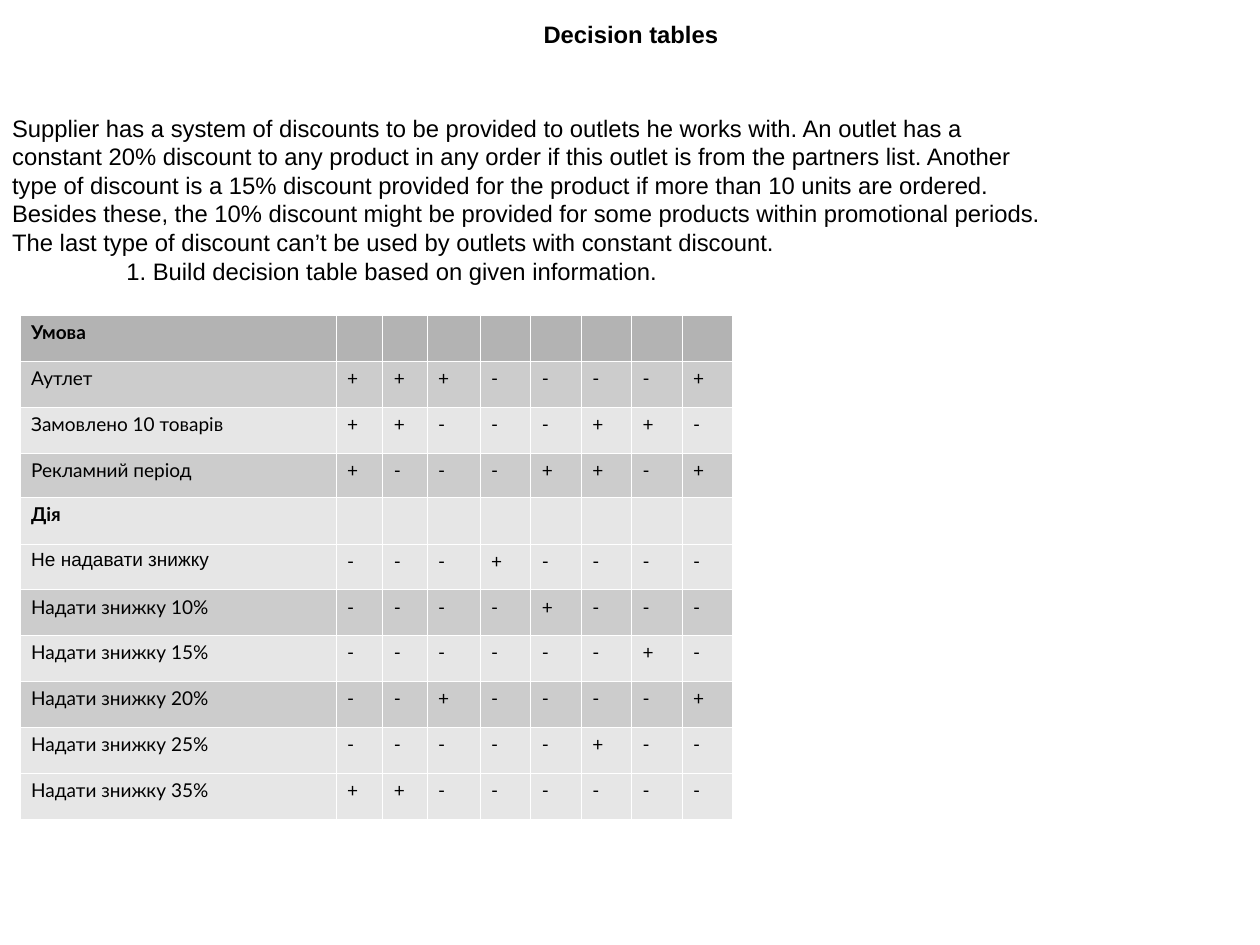
from lxml import etree
from pptx import Presentation
from pptx.dml.color import RGBColor
from pptx.enum.text import MSO_ANCHOR, MSO_AUTO_SIZE, PP_ALIGN
from pptx.oxml.ns import qn
from pptx.util import Cm, Pt

CENTER, LEFT = PP_ALIGN.CENTER, PP_ALIGN.LEFT
TOP, MIDDLE = MSO_ANCHOR.TOP, MSO_ANCHOR.MIDDLE
NO_FIT = MSO_AUTO_SIZE.NONE

COLORS = {"text": "000000", "border": "FFFFFF",
          "header": "B3B3B3", "dark": "CCCCCC", "light": "E6E6E6"}

TASK_LINES = [
    "Supplier has a system of discounts to be provided to outlets he works with. An outlet has a",
    "constant 20% discount to any product in any order if this outlet is from the partners list. Another",
    "type of discount is a 15% discount provided for the product if more than 10 units are ordered.",
    "Besides these, the 10% discount might be provided for some products within promotional periods.",
    "The last type of discount can’t be used by outlets with constant discount.",
]
QUESTION = "1. Build decision table based on given information."

# Row label, one mark per rule, shade; rows without marks are section headings
DECISIONS = [
    ("Умова", "", "header"),
    ("Аутлет", "+++----+", "dark"),
    ("Замовлено 10 товарів", "++---++-", "light"),
    ("Рекламний період", "+---++-+", "dark"),
    ("Дія", "", "light"),
    ("Не надавати знижку", "---+----", "light"),
    ("Надати знижку 10%", "----+---", "dark"),
    ("Надати знижку 15%", "------+-", "light"),
    ("Надати знижку 20%", "--+----+", "dark"),
    ("Надати знижку 25%", "-----+--", "light"),
    ("Надати знижку 35%", "++------", "light"),
]
ARIAL_LABEL = "Не надавати знижку"
COLUMN_WIDTHS = [7.02, 1.04, 0.98, 1.18, 1.13] + [1.12] * 4
ROW_HEIGHT, PERIOD_ROW, PERIOD_ROW_HEIGHT = 1.02, 3, 0.98


class SlideBuilder:
    """Holds the style and the current slide."""

    text_font, table_font = "Arial", "Lato"
    text_size, table_size, line_pitch = Pt(15), Pt(12), Pt(18)
    border_width = Pt(0.06)

    def __init__(self, presentation):
        """Add a title-and-content slide."""
        self.slide = presentation.slides.add_slide(presentation.slide_layouts[1])

    def run(self, paragraph, text, font, size, bold=False):
        """Add one formatted run."""
        run = paragraph.add_run()
        run.text = text
        run.font.name, run.font.size, run.font.bold = font, size, bold
        run.font.color.rgb = RGBColor.from_string(COLORS["text"])

    def place(self, shape, left, top, width, height, anchor, insets):
        """Move a placeholder and set up its text frame."""
        shape.left, shape.top, shape.width, shape.height = map(
            Cm, (left, top, width, height))
        frame = shape.text_frame
        frame.word_wrap, frame.auto_size = True, NO_FIT
        frame.vertical_anchor = anchor
        frame.margin_left = frame.margin_right = Cm(insets[0])
        frame.margin_top = frame.margin_bottom = Cm(insets[1])
        return frame

    def title(self, text):
        """Fill the title placeholder."""
        frame = self.place(self.slide.shapes.title, 0.02, 0.1, 28, 1.3, MIDDLE, (0, 0))
        paragraph = frame.paragraphs[0]
        paragraph.alignment = CENTER
        self.run(paragraph, text, self.text_font, self.text_size, bold=True)

    def body(self, lines):
        """Fill the body placeholder with (text, indent in cm) lines."""
        frame = self.place(self.slide.placeholders[1], 0.02, 2.39, 28, 4.06,
                           TOP, (0.25, 0.13))
        for index, (text, indent) in enumerate(lines):
            paragraph = frame.add_paragraph() if index else frame.paragraphs[0]
            paragraph.alignment = LEFT
            paragraph.line_spacing = self.line_pitch
            paragraph.space_before = paragraph.space_after = Pt(0)
            properties = paragraph._p.get_or_add_pPr()
            properties.set("marL", str(Cm(indent)))
            properties.set("indent", "0")
            etree.SubElement(properties, qn("a:buNone"))
            self.run(paragraph, text, self.text_font, self.text_size)

    def borders(self, cell):
        """Draw a thin line on each side of a cell."""
        properties = cell._tc.get_or_add_tcPr()
        for index, side in enumerate(("lnL", "lnR", "lnT", "lnB")):
            line = etree.Element(qn(f"a:{side}"), w=str(self.border_width))
            fill = etree.SubElement(line, qn("a:solidFill"))
            etree.SubElement(fill, qn("a:srgbClr"), val=COLORS["border"])
            properties.insert(index, line)

    def cell(self, cell, text, shade, font, bold):
        """Fill, outline and label one cell."""
        cell.fill.solid()
        cell.fill.fore_color.rgb = RGBColor.from_string(COLORS[shade])
        self.borders(cell)
        if text:
            self.run(cell.text_frame.paragraphs[0], text, font, self.table_size, bold)

    def decision_table(self, left, top, decisions):
        """Add the table of conditions and actions."""
        width = sum(COLUMN_WIDTHS)
        height = ROW_HEIGHT * (len(decisions) - 1) + PERIOD_ROW_HEIGHT
        table = self.slide.shapes.add_table(
            len(decisions), len(COLUMN_WIDTHS),
            Cm(left), Cm(top), Cm(width), Cm(height)).table
        table.first_row = table.horz_banding = False
        for column, column_width in zip(table.columns, COLUMN_WIDTHS):
            column.width = Cm(column_width)
        for index, (label, marks, shade) in enumerate(decisions):
            table.rows[index].height = Cm(
                PERIOD_ROW_HEIGHT if index == PERIOD_ROW else ROW_HEIGHT)
            texts = [label, *marks.ljust(len(COLUMN_WIDTHS) - 1)]
            for cell, text in zip(table.rows[index].cells, texts):
                font = self.text_font if text == ARIAL_LABEL else self.table_font
                self.cell(cell, text.strip(), shade, font, bold=not marks)


presentation = Presentation()
presentation.slide_width, presentation.slide_height = Cm(28), Cm(21)
builder = SlideBuilder(presentation)
builder.title("Decision tables")
builder.body([(line, 0) for line in TASK_LINES] + [(QUESTION, 2.54)])
builder.decision_table(0.44, 7, DECISIONS)
presentation.save("out.pptx")
